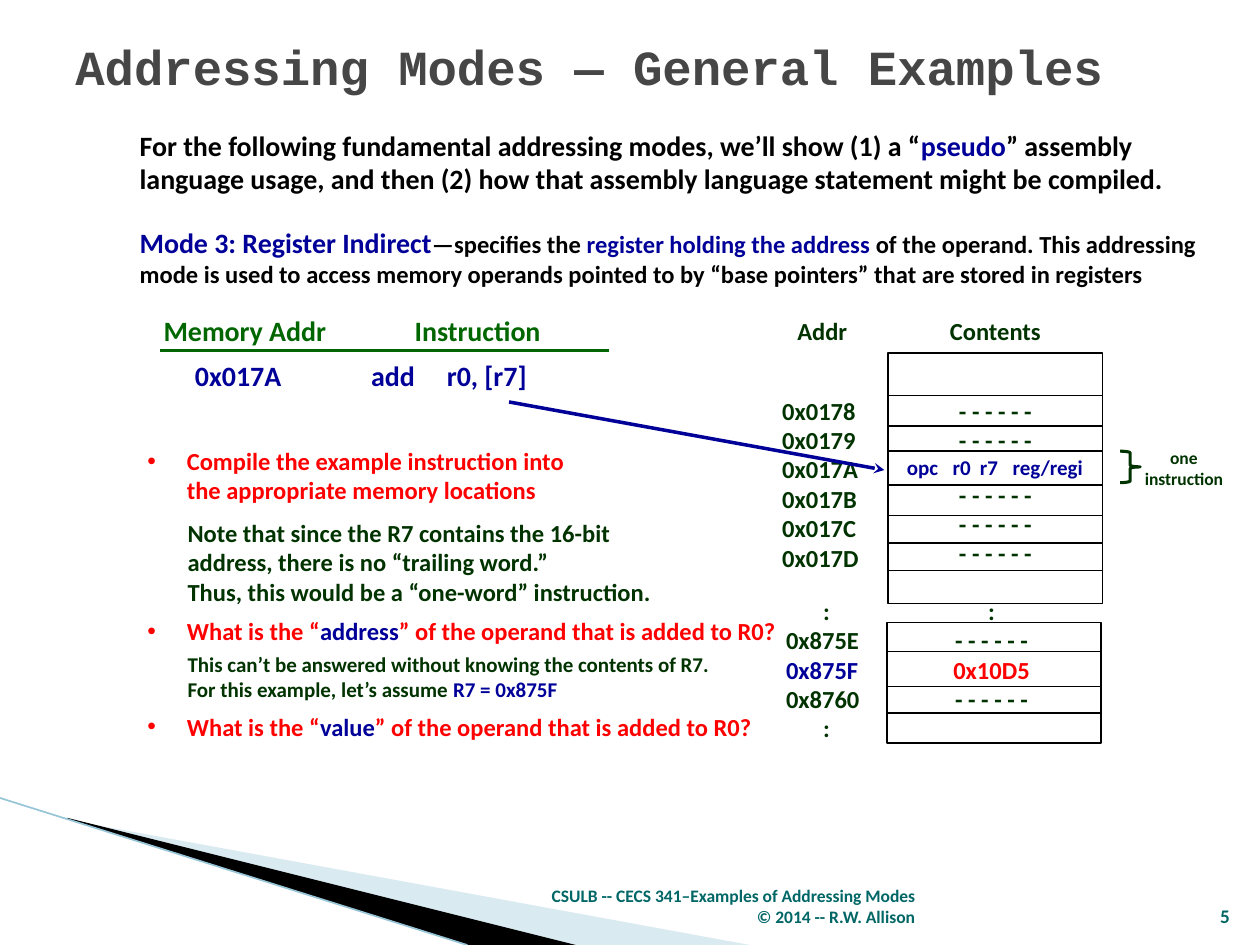
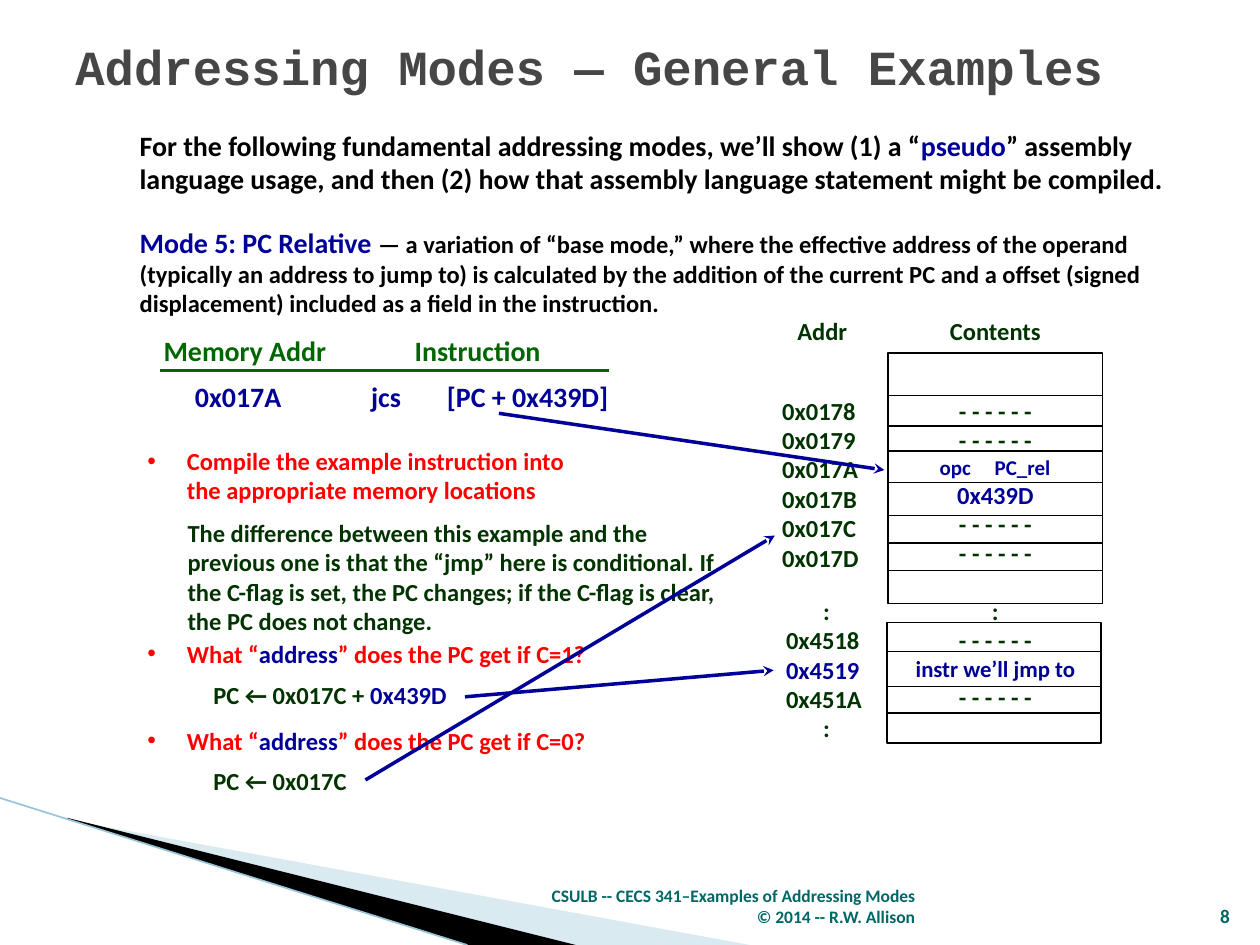
from pptx import Presentation
from pptx.dml.color import RGBColor
from pptx.enum.shapes import MSO_CONNECTOR as Connector, MSO_SHAPE as Shape
from pptx.enum.text import MSO_ANCHOR as Anchor, PP_ALIGN as Align
from pptx.oxml.ns import qn
from pptx.util import Pt
from lxml.etree import SubElement

COLORS = {
    "ink": "000000", "title": "464646", "code": "000099", "note": "003300",
    "heading": "006600", "question": "FF0000", "footer": "006666",
    "pale": "A0CBDC", "edge": "97C5D8",
}
DASHES = "- - - - - -"
BULLET_INDENT = 22.5


def rgb(name):
    """Look up a palette colour."""
    return RGBColor.from_string(COLORS[name])


def add_text(slide, paragraphs, box, size=14, color="note", font="Calibri",
             align=Align.LEFT, anchor=Anchor.TOP, bullet=False, tabs=()):
    """Place bold text in box (left, top, width, height).

    A paragraph is a string or a list of runs; a run is a string or a tuple
    of text, colour and, if it differs, size. A dict adds its own align or tabs.
    """
    area = slide.shapes.add_textbox(*map(Pt, box))
    frame = area.text_frame
    frame.word_wrap = True
    frame.vertical_anchor = anchor
    for index, content in enumerate(paragraphs):
        own = content if isinstance(content, dict) else {"runs": content}
        paragraph = frame.paragraphs[0] if index == 0 else frame.add_paragraph()
        paragraph.alignment = own.get("align", align)
        props = paragraph._p.get_or_add_pPr()
        if bullet:
            props.set("marL", str(Pt(BULLET_INDENT)))
            props.set("indent", str(-Pt(BULLET_INDENT)))
            SubElement(props, qn("a:buFont"), typeface="Arial")
            SubElement(props, qn("a:buChar"), char="•")
        stops = own.get("tabs", tabs)
        if stops:
            tab_list = SubElement(props, qn("a:tabLst"))
            for stop in stops:
                SubElement(tab_list, qn("a:tab"), pos=str(Pt(stop)), algn="l")
        runs = own["runs"]
        for part in [runs] if isinstance(runs, str) else runs:
            words, run_color, run_size = (
                (part, color, size) if isinstance(part, str)
                else (*part, size)[:3])
            run = paragraph.add_run()
            run.text = words
            run.font.name = font
            run.font.size = Pt(run_size)
            run.font.bold = True
            run.font.color.rgb = rgb(run_color)


def add_line(slide, start, end, color="ink", width=0.75, arrow=False):
    """Draw a straight line, with a stealth arrowhead at its end if asked."""
    line = slide.shapes.add_connector(
        Connector.STRAIGHT, *map(Pt, (*start, *end)))
    line.line.color.rgb = rgb(color)
    line.line.width = Pt(width)
    if arrow:
        SubElement(line.line._get_or_add_ln(), qn("a:tailEnd"), type="stealth")
    SubElement(line._element.spPr, qn("a:effectLst"))


def add_outline(slide, kind, box, color="ink", width=1):
    """Draw an unfilled preset shape."""
    outline = slide.shapes.add_shape(kind, *map(Pt, box))
    outline.shadow.inherit = False
    outline.fill.background()
    outline.line.color.rgb = rgb(color)
    outline.line.width = Pt(width)


def add_wedge(slide, points, color, opacity=100):
    """Draw a filled polygon without an outline."""
    first, *rest = [tuple(map(Pt, point)) for point in points]
    builder = slide.shapes.build_freeform(*first)
    builder.add_line_segments(rest, close=True)
    wedge = builder.convert_to_shape()
    wedge.shadow.inherit = False
    wedge.fill.solid()
    wedge.fill.fore_color.rgb = rgb(color)
    wedge.line.fill.background()
    if opacity < 100:
        tint = wedge._element.spPr.find(".//" + qn("a:srgbClr"))
        SubElement(tint, qn("a:alpha"), val=str(opacity * 1000))


def add_frame(slide, number):
    """Add what every slide shares: corner band, title, introduction, footer."""
    add_wedge(slide, [(39.6, 468.7), (428.4, 540), (328.3, 540), (39.6, 468)],
              "pale", opacity=40)
    add_wedge(slide, [(38.2, 467.3), (329, 540), (267.8, 540), (38.9, 468)],
              "ink")
    add_line(slide, (0, 456), (267, 540), "edge", 0.95)
    add_text(slide, ["Addressing Modes — General Examples"],
             (36, 13.7, 660, 48.2), size=28, color="title",
             font="Courier New", anchor=Anchor.MIDDLE)
    add_text(slide, [[
        "For the following fundamental addressing modes, we’ll show (1) a “",
        ("pseudo", "code"),
        "” assembly language usage, and then (2) how that assembly language "
        "statement might be compiled."]],
        (72.7, 69.8, 612.7, 46.1), size=16, color="ink")
    add_text(slide, ["CSULB -- CECS 341–Examples of Addressing Modes",
                     "© 2014 -- R.W. Allison"],
             (299.5, 504.7, 230.4, 28.8), size=10, color="footer",
             align=Align.RIGHT, anchor=Anchor.BOTTOM)
    add_text(slide, [str(number)], (681.1, 504.7, 28.8, 28.8), size=11,
             color="footer", align=Align.RIGHT, anchor=Anchor.BOTTOM)


def add_mode(slide, runs, height):
    """Describe the addressing mode below the introduction."""
    add_text(slide, [runs], (72.7, 125.3, 627.1, height), color="ink")


def add_instruction(slide, left, top, opcode, operands):
    """Show one assembly instruction under its underlined column heads."""
    add_text(slide, ["Memory Addr\tInstruction"], (left, top, 265, 26.6),
             size=16, color="heading", tabs=[143.5])
    add_line(slide, (left + 5, top + 24.5), (left + 261.4, top + 24.5),
             "heading", 2)
    add_text(slide, [f"\t0x017A\t{opcode}\t{operands}"],
             (left + 3.6, top + 25.9, 326, 26.6), size=16, color="code",
             tabs=[14.3, 115, 158.3])


def add_cells(slide, left, top, width, height, rules):
    """Draw a column of memory cells parted at the given depths."""
    add_outline(slide, Shape.RECTANGLE, (left, top, width, height))
    for depth in rules:
        add_line(slide, (left, top + depth), (left + width, top + depth))


def add_memory(slide, left, top, program, opcode_rule, data_addresses, data,
               data_span):
    """Draw the memory map: program words above, data words below.

    data_span gives offset and width of the lower contents column.
    """
    add_text(slide, ["Addr\tContents"], (left + 8.6, top, 179.3, 24.5),
             tabs=[87.2])
    add_text(slide, [f"0x017{digit}" for digit in "89ABCD"],
             (left, top + 45.4, 60.5, 108.7))
    add_text(slide, program, (left + 68.4, top + 45.4, 121, 106.6),
             align=Align.CENTER)
    add_cells(slide, left + 67.7, top + 24.5, 122.4, 143.3,
              [24.5, 41.8, 56.2, opcode_rule, 92.9, 108.7, 124.6])

    dots = {"runs": ":", "align": Align.CENTER}
    before, target, after = data_addresses
    add_text(slide, [dots, before, [(target, "code")], after, dots],
             (left + 2.2, top + 159.8, 60.5, 92.2))
    add_cells(slide, left + 67, top + 178.6, 122.4, 69.1, [16.6, 36.7, 51.8])
    offset, width = data_span
    add_text(slide, [":", DASHES, [data], DASHES],
             (left + offset, top + 159.8, width, 74.9), align=Align.CENTER)


def add_question(slide, top, runs, width=397):
    """Add a bulleted prompt in the left column."""
    add_text(slide, [runs], (77.2, top, width, 24.5), color="question",
             bullet=True)


def add_compile_prompt(slide):
    """Add the prompt that both examples begin with."""
    add_question(slide, 251.3, "Compile the example instruction into the "
                 "appropriate memory locations", width=260)


def add_pointer(slide, start, end):
    """Link an expression to its place in memory."""
    add_line(slide, start, end, "code", 2, arrow=True)


def build_register_indirect(slide):
    """Slide on mode 3."""
    add_frame(slide, 5)
    add_mode(slide, [
        ("Mode 3: Register Indirect", "code", 16), "—specifies the ",
        ("register holding the address", "code"),
        " of the operand. This addressing mode is used to access memory "
        "operands pointed to by “base pointers” that are stored in registers",
    ], 43.9)
    add_instruction(slide, 86.4, 175.7, "add", "r0, [r7]")
    opcode = {"runs": [("\topc\tr0\tr7\treg/regi", "code", 12)],
              "align": Align.LEFT, "tabs": [2.8, 29, 44.5, 63.2]}
    add_memory(slide, 439.9, 177.1, [DASHES, DASHES, opcode] + [DASHES] * 3,
               75.6, ["0x875E", "0x875F", "0x8760"], ("0x10D5", "question"),
               (96.5, 60.5))
    add_pointer(slide, (290.9, 229.7), (505.4, 268.6))
    add_outline(slide, Shape.RIGHT_BRACE, (640.1, 257.8, 11.5, 18), "note", 1.75)
    add_text(slide, ["one", "instruction"], (646.6, 252, 59.8, 31.7), size=10,
             align=Align.CENTER)

    add_compile_prompt(slide)
    add_text(slide, [
        "Note that since the R7 contains the 16-bit address, there is no "
        "“trailing word.”",
        "Thus, this would be a “one-word” instruction."],
        (100.1, 292.3, 287.3, 58.3))
    for top, asked in ((348.5, "address"), (403.2, "value")):
        add_question(slide, top, ["What is the “", (asked, "code"),
                                  "” of the operand that is added to R0?"])
    add_text(slide, [
        "This can’t be answered without knowing the contents of R7.",
        ["For this example, let’s assume ", ("R7 = 0x875F", "code")]],
        (100.1, 368.6, 320.4, 36), size=12)


def build_pc_relative(slide):
    """Slide on mode 5."""
    add_frame(slide, 8)
    add_mode(slide, [
        ("Mode 5: PC Relative ", "code", 16),
        "— a variation of “base mode,” where the effective address of the "
        "operand (typically an address to jump to) is calculated by the "
        "addition of the current PC and a offset (signed displacement) "
        "included as a field in the instruction."], 60.5)
    add_instruction(slide, 86.4, 187.2, "jcs", "[PC + 0x439D]")
    opcode = {"runs": [("\topc\tPC_rel", "code", 12)],
              "align": Align.LEFT, "tabs": [21.6, 53]}
    add_memory(slide, 439.9, 177.1,
               [DASHES, DASHES, opcode, [("0x439D", "code")], DASHES, DASHES],
               74.2, ["0x4518", "0x4519", "0x451A"],
               ("instr we’ll jmp to", "code", 13), (74.9, 108))

    add_compile_prompt(slide)
    add_text(slide, [
        "The difference between this example and the previous one is that the "
        "“jmp” here is conditional. If the C-flag is set, the PC changes; if "
        "the C-flag is clear, the PC does not change."],
        (100.1, 292.3, 321.1, 74.9))
    for top, carry in ((361.4, 1), (411.1, 0)):
        add_question(slide, top, ["What “", ("address", "code"),
                                  f"” does the PC get if C={carry}?"])
    add_text(slide, [["PC ← 0x017C + ", ("0x439D", "code")]],
             (114.8, 385.2, 160.6, 24.5))
    add_text(slide, ["PC ← 0x017C"], (114.8, 434.2, 160.6, 24.5))
    for start, end in (((285.1, 236.2), (505.4, 268.6)),
                       ((265.7, 398.2), (442.1, 383)),
                       ((208.8, 445.7), (442.8, 306))):
        add_pointer(slide, start, end)


deck = Presentation()
deck.slide_width, deck.slide_height = Pt(720), Pt(540)
for build in (build_register_indirect, build_pc_relative):
    build(deck.slides.add_slide(deck.slide_layouts[6]))
deck.save("out.pptx")
